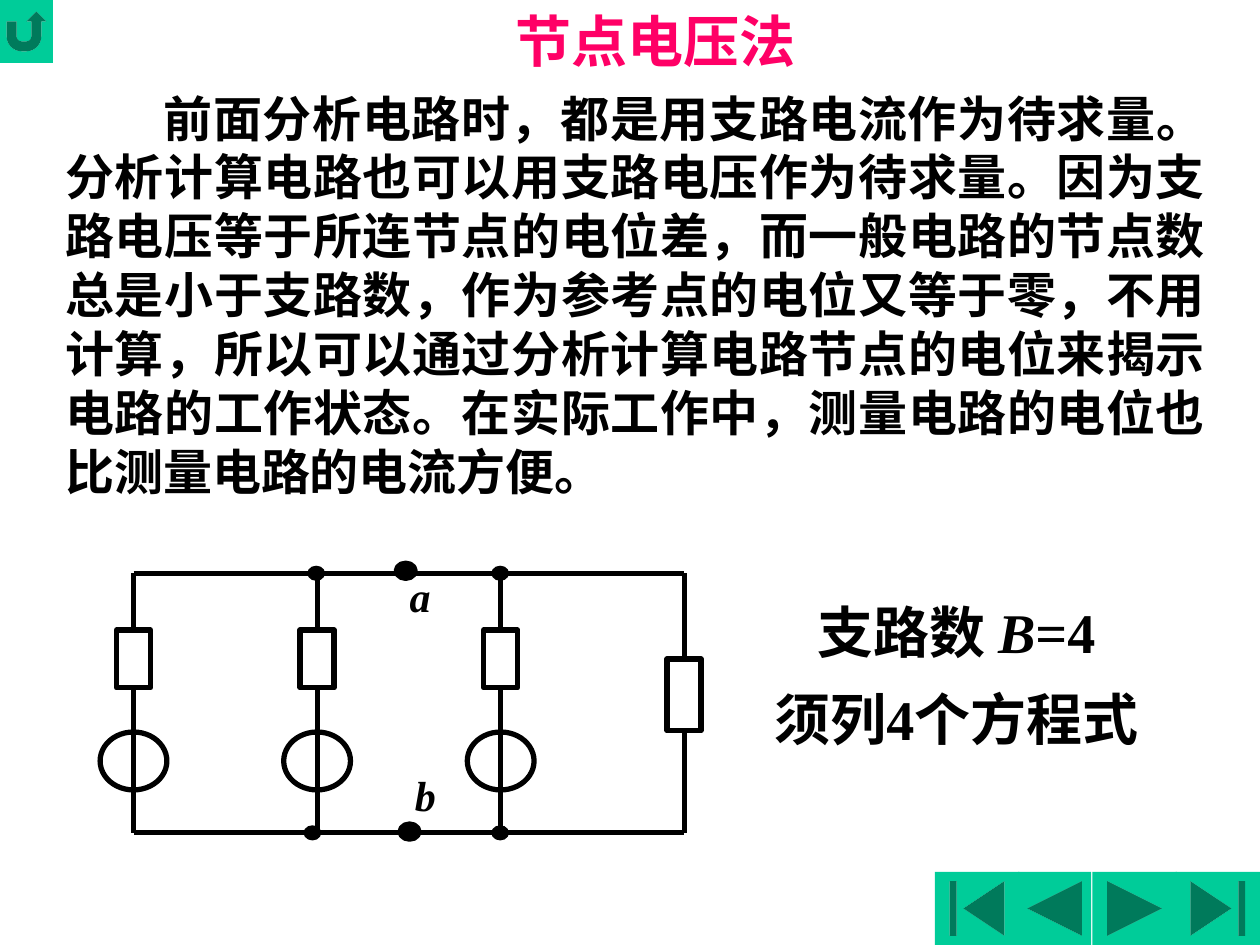
from dataclasses import dataclass

from lxml.etree import SubElement
from pptx import Presentation
from pptx.dml.color import RGBColor
from pptx.enum.shapes import MSO_CONNECTOR as Link, MSO_SHAPE as Kind
from pptx.enum.text import MSO_ANCHOR as Anchor, MSO_AUTO_SIZE as Fit, PP_ALIGN as Align
from pptx.oxml.ns import qn
from pptx.shapes.autoshape import Shape
from pptx.slide import Slide
from pptx.text.text import TextFrame, _Paragraph as Paragraph
from pptx.util import Inches, Pt


@dataclass(frozen=True)
class Theme:
    font: str = "Times New Roman"
    ink: RGBColor = RGBColor(0, 0, 0)
    paper: RGBColor = RGBColor(255, 255, 255)
    title: RGBColor = RGBColor(255, 0, 102)
    button: RGBColor = RGBColor(0, 204, 153)
    heading_size: int = 32
    body_size: int = 28
    label_size: int = 24
    wire: float = 3
    thin: float = 0.75


@dataclass(frozen=True)
class Area:
    left: float
    top: float
    width: float
    height: float

    def lengths(self) -> tuple:
        return tuple(Inches(v) for v in (self.left, self.top, self.width, self.height))


@dataclass(frozen=True)
class Button:
    kind: Kind
    area: Area


@dataclass(frozen=True)
class Branch:
    x: float
    resistor_top: float
    resistor_height: float
    has_source: bool


@dataclass(frozen=True)
class Dot:
    x: float
    y: float
    width: float
    height: float
    line: float


@dataclass(frozen=True)
class Label:
    text: str
    area: Area


THEME = Theme()
TOP, BOTTOM = 4.55, 6.61
BUTTONS = (
    Button(Kind.ACTION_BUTTON_RETURN, Area(0, 0, 0.42, 0.5)),
    Button(Kind.ACTION_BUTTON_BEGINNING, Area(7.42, 6.92, 0.67, 0.58)),
    Button(Kind.ACTION_BUTTON_BACK_OR_PREVIOUS, Area(8.08, 6.92, 0.58, 0.58)),
    Button(Kind.ACTION_BUTTON_FORWARD_OR_NEXT, Area(8.67, 6.92, 0.67, 0.58)),
    Button(Kind.ACTION_BUTTON_END, Area(9.33, 6.92, 0.67, 0.58)),
)
BRANCHES = (
    *(Branch(1.06 + 1.457 * i, 5, 0.46, True) for i in range(3)),
    Branch(5.43, 5.23, 0.57, False),
)
DOTS = (
    *(Dot(x, y, 0.13, 0.11, THEME.thin)
      for x, y in ((2.51, TOP), (3.97, TOP), (2.48, BOTTOM), (3.97, BOTTOM))),
    *(Dot(x, y, 0.15, 0.12, THEME.wire) for x, y in ((3.22, 4.53), (3.25, 6.6))),
)
LABELS = (Label("a", Area(3.04, 4.48, 0.59, 0.5)), Label("b", Area(3.08, 6.06, 0.59, 0.5)))
BODY = (
    "前面分析电路时，都是用支路电流作为待求量。"
    "分析计算电路也可以用支路电压作为待求量。"
    "因为支路电压等于所连节点的电位差，而一般电路的节点数总是小于支路数，"
    "作为参考点的电位又等于零，不用计算，"
    "所以可以通过分析计算电路节点的电位来揭示电路的工作状态。"
    "在实际工作中，测量电路的电位也比测量电路的电流方便。"
)


def add_span(para: Paragraph, text: str, size: int,
             color: RGBColor = THEME.ink, italic: bool = False) -> None:
    """Append one bold run to a paragraph."""
    span = para.add_run()
    span.text = text
    span.font.name = THEME.font
    span.font.size = Pt(size)
    span.font.bold = True
    span.font.italic = italic
    span.font.color.rgb = color


def set_frame(frame: TextFrame, wrap: bool = True, anchor: Anchor = Anchor.TOP) -> None:
    """Give a text frame its wrapping and anchoring."""
    frame.word_wrap = wrap
    frame.auto_size = Fit.NONE
    frame.vertical_anchor = anchor


def add_shape(page: Slide, kind: Kind, area: Area, fill: RGBColor, line: float = 0) -> Shape:
    """Draw a flat preset shape, outlined in ink when a line width is given."""
    shape = page.shapes.add_shape(kind, *area.lengths())
    shape.shadow.inherit = False
    shape.fill.solid()
    shape.fill.fore_color.rgb = fill
    if line:
        shape.line.color.rgb = THEME.ink
        shape.line.width = Pt(line)
    else:
        shape.line.fill.background()
    return shape


def add_wire(page: Slide, x1: float, y1: float, x2: float, y2: float) -> None:
    """Draw one straight wire."""
    wire = page.shapes.add_connector(Link.STRAIGHT, *(Inches(v) for v in (x1, y1, x2, y2)))
    wire.line.color.rgb = THEME.ink
    wire.line.width = Pt(THEME.wire)
    SubElement(wire._element.spPr, qn("a:effectLst"))


def add_branch(page: Slide, branch: Branch) -> None:
    """Draw a vertical branch with its resistor and optional source."""
    if branch.has_source:
        add_shape(page, Kind.OVAL, Area(branch.x - 0.265, 5.81, 0.53, 0.46),
                  THEME.paper, THEME.wire)
    add_wire(page, branch.x, TOP, branch.x, BOTTOM)
    resistor = Area(branch.x - 0.135, branch.resistor_top, 0.27, branch.resistor_height)
    add_shape(page, Kind.RECTANGLE, resistor, THEME.paper, THEME.wire)


def add_dot(page: Slide, dot: Dot) -> None:
    """Draw a node centred on its point."""
    area = Area(dot.x - dot.width / 2, dot.y - dot.height / 2, dot.width, dot.height)
    add_shape(page, Kind.OVAL, area, THEME.ink, dot.line)


def add_label(page: Slide, label: Label) -> None:
    """Draw the name of a node."""
    box = add_shape(page, Kind.RECTANGLE, label.area, THEME.paper)
    set_frame(box.text_frame)
    para = box.text_frame.paragraphs[0]
    para.alignment = Align.CENTER
    add_span(para, label.text, THEME.label_size, italic=True)


def add_title(page: Slide) -> None:
    """Place and format the slide title."""
    title = page.shapes.title
    title.left, title.top, title.width, title.height = Area(1.58, 0, 7.25, 0.64).lengths()
    set_frame(title.text_frame, anchor=Anchor.MIDDLE)
    para = title.text_frame.paragraphs[0]
    para.alignment = Align.CENTER
    add_span(para, "节点电压法", THEME.heading_size, THEME.title)


def add_body(page: Slide) -> None:
    """Add the justified explanation with a first-line indent."""
    box = page.shapes.add_textbox(*Area(0.42, 0.65, 9.25, 3.37).lengths())
    set_frame(box.text_frame)
    para = box.text_frame.paragraphs[0]
    para.alignment = Align.JUSTIFY
    para._p.get_or_add_pPr().set("indent", str(Inches(0.78)))
    add_span(para, BODY, THEME.body_size)


def add_result(page: Slide) -> None:
    """Add the branch count and the number of equations."""
    box = page.shapes.add_textbox(*Area(5.94, 4.53, 3.3, 1.49).lengths())
    frame = box.text_frame
    set_frame(frame, wrap=False)
    count, equations = frame.paragraphs[0], frame.add_paragraph()
    for para in (count, equations):
        para.alignment = Align.CENTER
        para.line_spacing = 1.3
    add_span(count, "支路数 ", THEME.heading_size)
    add_span(count, "B", THEME.heading_size, italic=True)
    add_span(count, "=4", THEME.heading_size)
    add_span(equations, "须列4个方程式", THEME.heading_size)


def main() -> None:
    """Build and save the slide."""
    deck = Presentation()
    deck.slide_width, deck.slide_height = Inches(10), Inches(7.5)
    page = deck.slides.add_slide(deck.slide_layouts[5])
    add_title(page)
    for button in BUTTONS:
        add_shape(page, button.kind, button.area, THEME.button)
    add_body(page)
    add_result(page)
    for label in LABELS:
        add_label(page, label)
    for branch in BRANCHES:
        add_branch(page, branch)
    for y in (TOP, BOTTOM):
        add_wire(page, BRANCHES[0].x, y, BRANCHES[-1].x, y)
    for dot in DOTS:
        add_dot(page, dot)
    deck.save("out.pptx")


if __name__ == "__main__":
    main()
